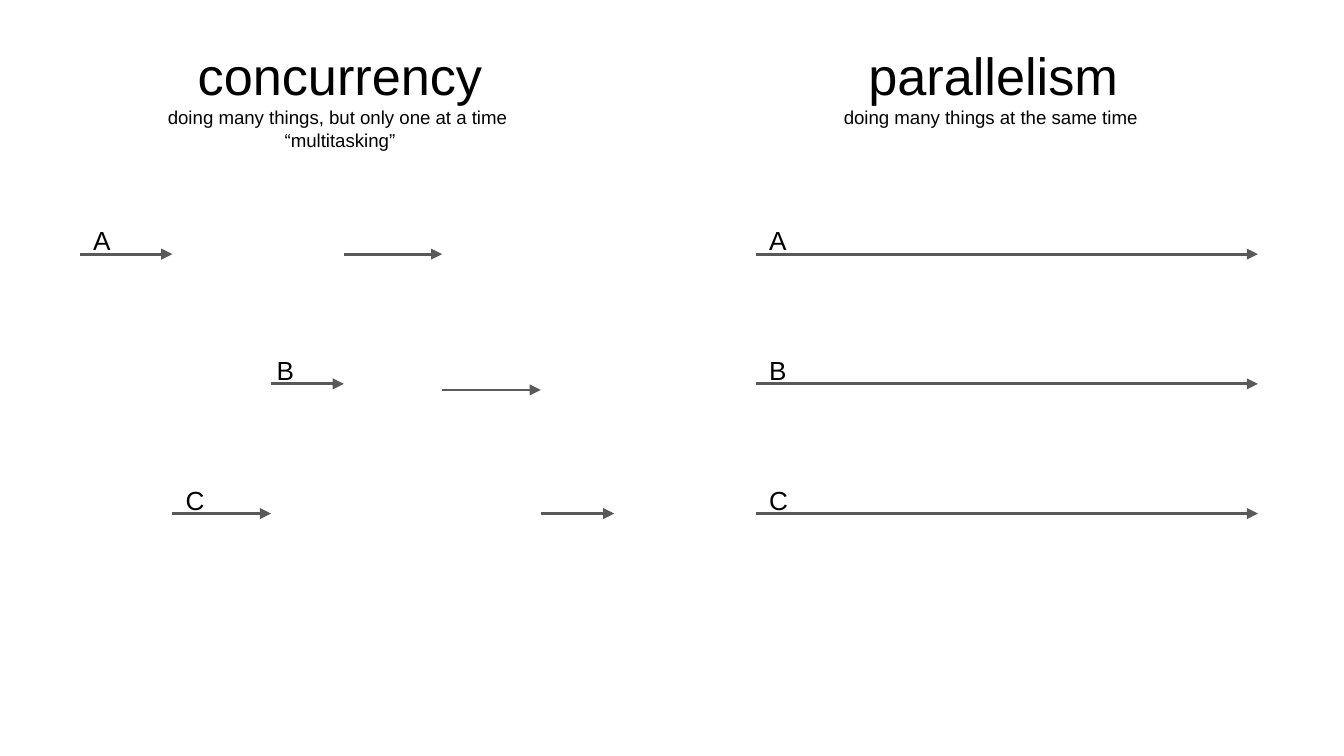
from collections import namedtuple
from lxml.etree import SubElement
from pptx import Presentation
from pptx.dml.color import RGBColor
from pptx.enum.shapes import MSO_CONNECTOR
from pptx.enum.text import MSO_ANCHOR, MSO_AUTO_SIZE, PP_ALIGN
from pptx.oxml.ns import qn
from pptx.util import Inches, Pt

COLORS = {"text": "000000", "arrow": "595959", "background": "FFFFFF"}
WIDTH = Inches(10)
HEIGHT = WIDTH * 9 // 16
COLUMN, ROW = WIDTH / 100, HEIGHT / 100
LABEL_WIDTH, LABEL_HEIGHT = 4.1, 5.69
TASKS = "ABC"

Box = namedtuple("Box", "left top width height")
Turn = namedtuple("Turn", "task start end drop label_shift", defaults=(0, None))


def columns(count):
    return round(count * COLUMN)


def rows(count):
    return round(count * ROW)


def color(name):
    return RGBColor.from_string(COLORS[name])


def place(shape, box):
    shape.left, shape.top = columns(box.left), rows(box.top)
    shape.width, shape.height = columns(box.width), rows(box.height)


def write(shape, lines, sizes, align=PP_ALIGN.LEFT, font="Arial", fill="text"):
    frame = shape.text_frame
    frame.word_wrap = True
    frame.auto_size = MSO_AUTO_SIZE.NONE
    frame.vertical_anchor = MSO_ANCHOR.TOP
    frame.margin_left = frame.margin_right = Inches(0.1)
    frame.margin_top = frame.margin_bottom = Inches(0.1)
    for index, (line, size) in enumerate(zip(lines, sizes)):
        para = frame.add_paragraph() if index else frame.paragraphs[0]
        para.alignment = align
        para.space_before = para.space_after = Pt(0)
        para.line_spacing = 1.0
        span = para.add_run()
        span.text = line
        span.font.name = font
        span.font.size = Pt(size)
        span.font.color.rgb = color(fill)


def add_heading(placeholder, box, name, notes):
    place(placeholder, box)
    sizes = [28] + [10] * len(notes)
    write(placeholder, [name, *notes], sizes, align=PP_ALIGN.CENTER)


def add_arrow(page, start, end, height):
    arrow = page.shapes.add_connector(
        MSO_CONNECTOR.STRAIGHT, columns(start), rows(height), columns(end), rows(height)
    )
    arrow.line.color.rgb = color("arrow")
    arrow.line.width = Pt(1.5)
    properties = arrow._element.spPr
    SubElement(properties.get_or_add_ln(), qn("a:tailEnd"), type="triangle")
    SubElement(properties, qn("a:effectLst"))


def add_label(page, task, left, height):
    label = page.shapes.add_textbox(0, 0, 0, 0)
    place(label, Box(left, height - LABEL_HEIGHT, LABEL_WIDTH, LABEL_HEIGHT))
    write(label, [task], [14])


def add_timeline(page, box, turns):
    step = box.height / (len(TASKS) - 1)
    for turn in turns:
        height = box.top + TASKS.index(turn.task) * step
        start = box.left + turn.start * box.width
        end = box.left + turn.end * box.width
        add_arrow(page, start, end, height + turn.drop)
        if turn.label_shift is not None:
            add_label(page, turn.task, start + turn.label_shift, height)


def main():
    deck = Presentation()
    deck.slide_width, deck.slide_height = WIDTH, HEIGHT
    page = deck.slides.add_slide(deck.slide_layouts[0])
    page.background.fill.solid()
    page.background.fill.fore_color.rgb = color("background")

    left_heading, right_heading = page.placeholders
    add_heading(
        left_heading, Box(3.44, 3.95, 43.7, 18.13), "concurrency",
        ["doing many things, but only one at a time ", "“multitasking”"],
    )
    add_heading(
        right_heading, Box(52.04, 3.95, 43.7, 18.13), "parallelism",
        ["doing many things at the same time "],
    )

    span = 39.76
    stops = [stop / span for stop in (0, 6.88, 14.22, 19.64, 26.96, 34.3, span)]
    drops = (0, 0, 0, 0, 0.8, 0)
    shifts = (0, 0, -0.56, None, None, None)
    shared = map(Turn, "ACBABC", stops, stops[1:], drops, shifts)
    add_timeline(page, Box(5.94, 33.62, span, 34.32), shared)

    steady = [Turn(task, 0, 1, label_shift=0) for task in TASKS]
    add_timeline(page, Box(56.24, 33.62, 37.36, 34.32), steady)
    deck.save("out.pptx")


if __name__ == "__main__":
    main()
